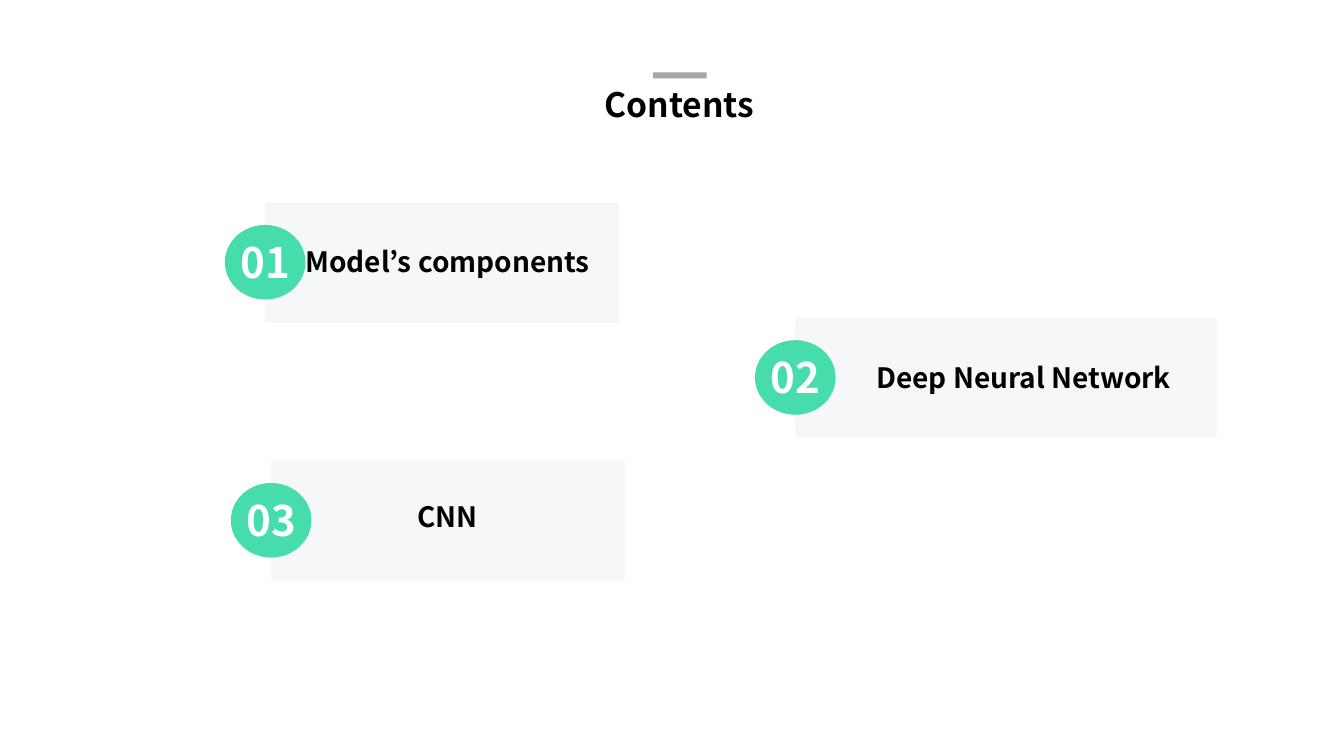
from dataclasses import dataclass

from pptx import Presentation
from pptx.dml.color import RGBColor
from pptx.enum.shapes import MSO_SHAPE
from pptx.enum.text import MSO_ANCHOR, MSO_AUTO_SIZE, PP_ALIGN
from pptx.util import Pt

FONT = "Noto Sans CJK KR"
HUES = {
    "ink": "000000",
    "paper": "FFFFFF",
    "panel": "F6F7F9",
    "mint": "46DCAC",
    "bar": "A6A6A6",
}


@dataclass
class Box:
    left: float
    top: float
    width: float
    height: float

    def points(self) -> tuple:
        return Pt(self.left), Pt(self.top), Pt(self.width), Pt(self.height)


@dataclass
class Card:
    number: str
    text: str
    panel: Box
    label: Box


CARDS = [
    Card("01", "Model’s components", Box(189.4, 144.7, 252.7, 85.7), Box(203.8, 171.4, 231.8, 31.7)),
    Card("02", "Deep Neural Network", Box(568.1, 227, 301, 85.7), Box(604.8, 254.2, 252.7, 31.7)),
    Card("03", "CNN", Box(193.7, 329, 252.7, 85.7), Box(203.8, 353.5, 231.8, 31.7)),
]


def draw_shape(shapes, kind: MSO_SHAPE, box: Box, hue: str) -> None:
    shape = shapes.add_shape(kind, *box.points())
    shape.shadow.inherit = False
    shape.fill.solid()
    shape.fill.fore_color.rgb = RGBColor.from_string(HUES[hue])
    shape.line.fill.background()


def write_text(shape, text: str, size: float, hue: str, align: PP_ALIGN) -> None:
    frame = shape.text_frame
    frame.word_wrap = True
    frame.auto_size = MSO_AUTO_SIZE.SHAPE_TO_FIT_TEXT
    frame.vertical_anchor = MSO_ANCHOR.TOP
    para = frame.paragraphs[0]
    para.alignment = align
    run = para.add_run()
    run.text = text
    run.font.name = FONT
    run.font.size = Pt(size)
    run.font.bold = True
    run.font.color.rgb = RGBColor.from_string(HUES[hue])


def draw_card(slide, card: Card) -> None:
    shapes = slide.shapes.add_group_shape().shapes
    left, top = card.panel.left, card.panel.top
    badge = Box(left - 28.8, top + 16, 57.6, 53.3)
    digits = Box(left - 24.5, top + 20.9, 57.6, 43.9)
    draw_shape(shapes, MSO_SHAPE.RECTANGLE, card.panel, "panel")
    label = shapes.add_textbox(*card.label.points())
    write_text(label, card.text, 20, "ink", PP_ALIGN.CENTER)
    draw_shape(shapes, MSO_SHAPE.OVAL, badge, "mint")
    number = shapes.add_textbox(*digits.points())
    write_text(number, card.number, 30, "paper", PP_ALIGN.LEFT)


def main() -> None:
    deck = Presentation()
    deck.slide_width, deck.slide_height = Pt(960), Pt(540)
    slide = deck.slides.add_slide(deck.slide_layouts[5])
    title = slide.shapes.title
    title.left, title.top, title.width, title.height = Box(190, 56.2, 590.4, 36).points()
    write_text(title, "Contents", 24, "ink", PP_ALIGN.CENTER)
    draw_shape(slide.shapes, MSO_SHAPE.RECTANGLE, Box(466.6, 51.8, 38.2, 4.3), "bar")
    for card in CARDS:
        draw_card(slide, card)
    deck.save("out.pptx")


if __name__ == "__main__":
    main()
